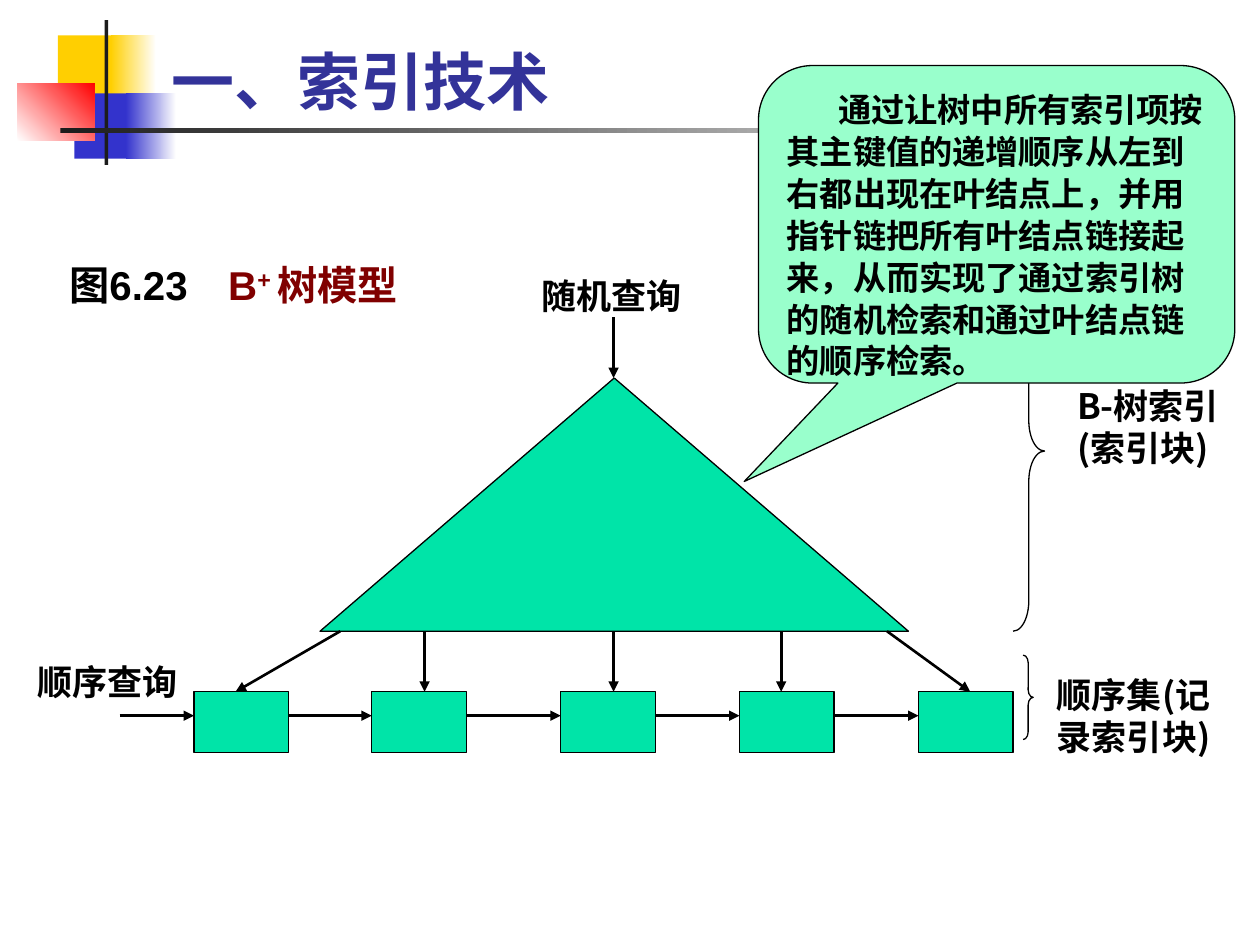
from dataclasses import dataclass

from lxml import etree
from pptx import Presentation
from pptx.dml.color import RGBColor
from pptx.enum.shapes import MSO_CONNECTOR, MSO_SHAPE
from pptx.enum.text import MSO_ANCHOR, PP_ALIGN
from pptx.oxml.ns import qn
from pptx.util import Inches, Pt

RECTANGLE = MSO_SHAPE.RECTANGLE
TRIANGLE = MSO_SHAPE.ISOSCELES_TRIANGLE
BRACE = MSO_SHAPE.RIGHT_BRACE
CALLOUT = MSO_SHAPE.ROUNDED_RECTANGULAR_CALLOUT
STRAIGHT = MSO_CONNECTOR.STRAIGHT
LEFT = PP_ALIGN.LEFT
TOP = MSO_ANCHOR.TOP
BOTTOM = MSO_ANCHOR.BOTTOM

BLACK = RGBColor(0x00, 0x00, 0x00)
WHITE = RGBColor(0xFF, 0xFF, 0xFF)
YELLOW = RGBColor(0xFF, 0xCF, 0x01)
BLUE = RGBColor(0x33, 0x33, 0xCC)
RED = RGBColor(0xFF, 0x00, 0x00)
CHARCOAL = RGBColor(0x1C, 0x1C, 0x1C)
INDIGO = RGBColor(0x33, 0x33, 0x99)
MAROON = RGBColor(0x80, 0x00, 0x00)
GREEN = RGBColor(0x00, 0xE4, 0xA8)
MINT = RGBColor(0x99, 0xFF, 0xCC)

SANS = "Arial"
TITLE_FONT = "Karla"
CJK = "Noto Sans CJK SC"


@dataclass(frozen=True)
class Box:
    left: float
    top: float
    width: float
    height: float

    def lengths(self):
        return [Inches(n) for n in (self.left, self.top, self.width, self.height)]


@dataclass(frozen=True)
class Ornament:
    box: Box
    start: RGBColor
    end: RGBColor | None = None
    angle: float = 0


@dataclass(frozen=True)
class Piece:
    text: str
    color: RGBColor = BLACK
    superscript: bool = False


@dataclass(frozen=True)
class Label:
    box: Box
    pieces: tuple[Piece, ...]
    font: str = SANS
    size: float = 20
    anchor: MSO_ANCHOR = TOP


ORNAMENTS = (
    Ornament(Box(0.46, 0.28, 0.48, 0.52), YELLOW),
    Ornament(Box(0.88, 0.28, 0.36, 0.52), YELLOW, WHITE),
    Ornament(Box(0.59, 0.74, 0.46, 0.52), BLUE),
    Ornament(Box(1, 0.74, 0.4, 0.52), BLUE, WHITE),
    Ornament(Box(0.14, 0.66, 0.61, 0.46), WHITE, RED, 45),
    Ornament(Box(0.83, 0.16, 0.03, 1.15), CHARCOAL),
    Ornament(Box(0.48, 1.02, 9, 0.04), CHARCOAL, WHITE),
)
LABELS = (
    Label(Box(1.26, 0.08, 8.52, 0.91), (Piece("一、索引技术", INDIGO),),
          TITLE_FONT, 36, BOTTOM),
    Label(Box(4.2, 2.13, 1.67, 0.44), (Piece("随机查询"),)),
    Label(Box(8.45, 3, 1.33, 1.1), (Piece("B-树索引(索引块)"),), CJK),
    Label(Box(8.29, 5.3, 1.5, 1.1), (Piece("顺序集(记录索引块)"),), CJK),
    Label(Box(0.2, 5.19, 1.67, 0.44), (Piece("顺序查询"),)),
    Label(Box(0.45, 2.02, 2.92, 0.87),
          (Piece("图6.23　"), Piece("B", MAROON), Piece("+ ", MAROON, True),
           Piece("树模型", MAROON)), size=23),
)
TREE = Box(2.54, 3, 4.67, 2.01)
NODE_LEFTS = (1.54, 2.95, 4.45, 5.87, 7.29)
NODE_WIDTH, NODE_TOP, NODE_HEIGHT = 0.75, 5.49, 0.48
CHAIN_Y = 5.68
BRANCHES = ((2.7, 1.87), (3.37, 3.37), (4.87, 4.87), (6.2, 6.2), (7.04, 7.7))
BRACES = ((Box(8.04, 2.15, 0.25, 2.86), 0.96), (Box(8.12, 5.2, 0.08, 0.67), 0.75))
CALLOUT_TEXT = ("通过让树中所有索引项按其主键值的递增顺序从左到右都出现在叶结点上，"
                "并用指针链把所有叶结点链接起来，从而实现了通过索引树的随机检索和"
                "通过叶结点链的顺序检索。")


def add_figure(slide, kind: MSO_SHAPE, box: Box, color: RGBColor | None):
    shape = slide.shapes.add_shape(kind, *box.lengths())
    shape.shadow.inherit = False
    if color is None:
        shape.fill.background()
    else:
        shape.fill.solid()
        shape.fill.fore_color.rgb = color
    shape.line.color.rgb = BLACK
    shape.line.width = Pt(0.75)
    return shape


def add_ornament(slide, ornament: Ornament) -> None:
    shape = add_figure(slide, RECTANGLE, ornament.box, ornament.start)
    shape.line.fill.background()
    if ornament.end is not None:
        shape.fill.gradient()
        shape.fill.gradient_angle = ornament.angle
        first, last = shape.fill.gradient_stops
        first.color.rgb = ornament.start
        last.color.rgb = ornament.end


def add_arrow(slide, x1: float, y1: float, x2: float, y2: float) -> None:
    arrow = slide.shapes.add_connector(
        STRAIGHT, Inches(x1), Inches(y1), Inches(x2), Inches(y2))
    arrow.line.color.rgb = BLACK
    arrow.line.width = Pt(1.5)
    line = arrow.line._get_or_add_ln()
    etree.SubElement(line, qn("a:tailEnd"), type="triangle")
    etree.SubElement(arrow._element.spPr, qn("a:effectLst"))


def format_run(run, font: str, size: float, color: RGBColor) -> None:
    run.font.name = font
    run.font.size = Pt(size)
    run.font.bold = True
    run.font.color.rgb = color


def add_label(slide, label: Label) -> None:
    text_frame = slide.shapes.add_textbox(*label.box.lengths()).text_frame
    text_frame.word_wrap = True
    text_frame.vertical_anchor = label.anchor
    for piece in label.pieces:
        run = text_frame.paragraphs[0].add_run()
        run.text = piece.text
        format_run(run, label.font, label.size, piece.color)
        if piece.superscript:
            run._r.get_or_add_rPr().set("baseline", "30000")


def add_callout(slide) -> None:
    shape = add_figure(slide, CALLOUT, Box(6.02, 0.52, 3.78, 2.52), MINT)
    for index, value in enumerate((-0.53, 0.81, 0.17)):
        shape.adjustments[index] = value
    text_frame = shape.text_frame
    text_frame.word_wrap = True
    text_frame.vertical_anchor = TOP
    text_frame.text = CALLOUT_TEXT
    paragraph = text_frame.paragraphs[0]
    paragraph.alignment = LEFT
    paragraph.line_spacing = 1.05
    paragraph._p.get_or_add_pPr().set("indent", str(Inches(0.41)))
    format_run(paragraph.runs[0], SANS, 19, BLACK)


def add_tree(slide) -> None:
    add_figure(slide, TRIANGLE, TREE, GREEN)
    add_arrow(slide, 4.87, 2.52, 4.87, TREE.top)
    for start, end in BRANCHES:
        add_arrow(slide, start, TREE.top + TREE.height, end, NODE_TOP)
    chain_start = 0.95
    for left in NODE_LEFTS:
        add_figure(slide, RECTANGLE, Box(left, NODE_TOP, NODE_WIDTH, NODE_HEIGHT), GREEN)
        add_arrow(slide, chain_start, CHAIN_Y, left, CHAIN_Y)
        chain_start = left + NODE_WIDTH
    for box, curve in BRACES:
        add_figure(slide, BRACE, box, None).adjustments[0] = curve


def main() -> None:
    presentation = Presentation()
    presentation.slide_width = Inches(10)
    presentation.slide_height = Inches(7.5)
    slide = presentation.slides.add_slide(presentation.slide_layouts[6])
    for ornament in ORNAMENTS:
        add_ornament(slide, ornament)
    add_tree(slide)
    for label in LABELS:
        add_label(slide, label)
    add_callout(slide)
    presentation.save("out.pptx")


if __name__ == "__main__":
    main()
